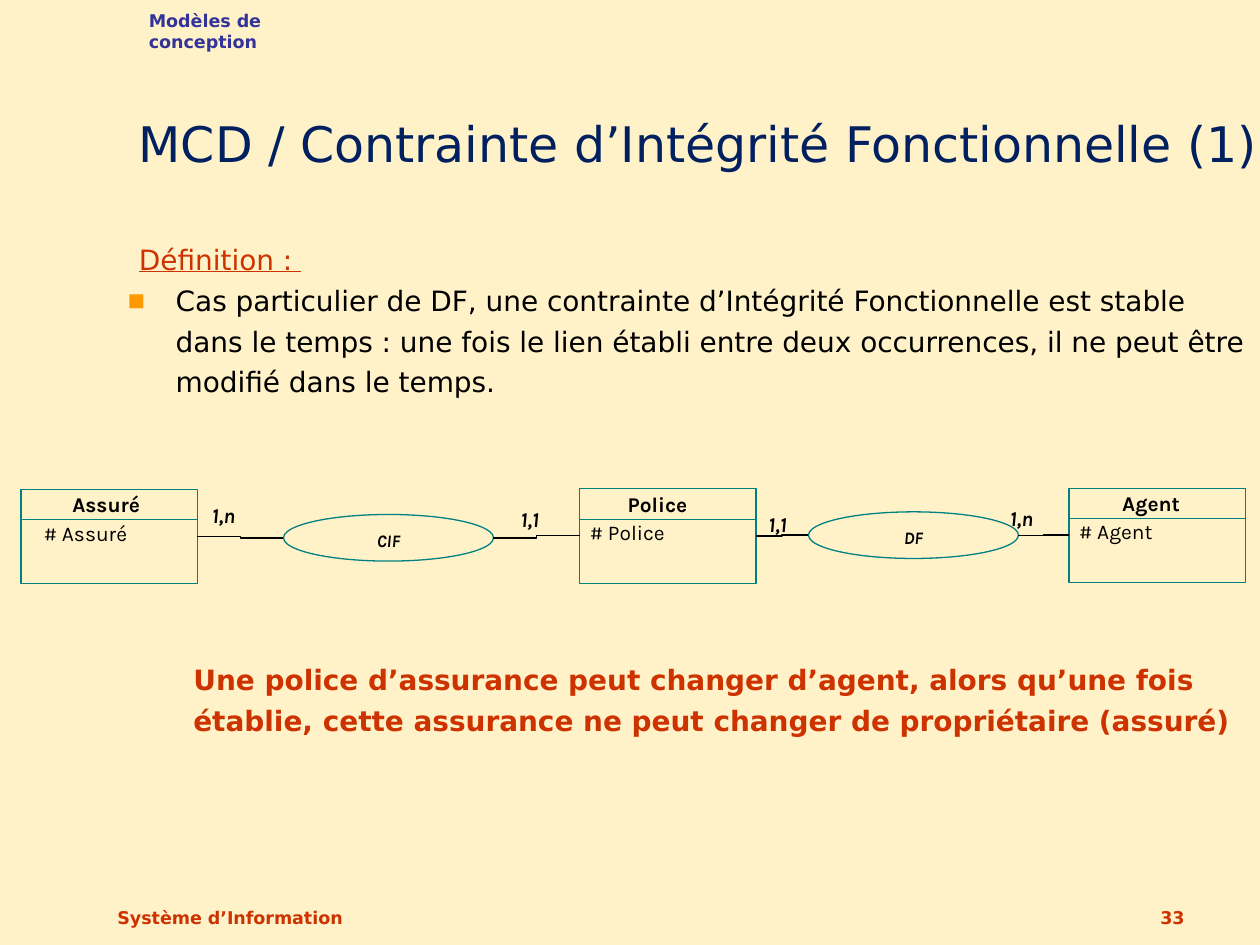
from lxml.etree import SubElement
from pptx import Presentation
from pptx.dml.color import RGBColor
from pptx.enum.shapes import MSO_CONNECTOR, MSO_SHAPE
from pptx.enum.text import MSO_ANCHOR, MSO_AUTO_SIZE, PP_ALIGN
from pptx.oxml.ns import qn
from pptx.util import Inches, Pt

CELL = Inches(1) / 12  # the slide is a grid of 120 columns by 90 rows


def grid(*cells):
    return [round(n * CELL) for n in cells]


def color(code):
    return RGBColor.from_string(code)


class Deck:
    sans, label = "DejaVu Sans", "Karla"
    paper, ink, navy = "FFF2C9", "000000", "002060"
    red, violet, teal, amber = "CC3300", "333399", "008080", "FF9900"

    def __init__(self):
        self.prs = Presentation()
        self.prs.slide_width, self.prs.slide_height = grid(120, 90)
        self.slide = self.prs.slides.add_slide(self.prs.slide_layouts[5])
        self.shapes = self.slide.shapes
        fill = self.slide.background.fill
        fill.solid()
        fill.fore_color.rgb = color(self.paper)

    def style(self, run, size, tint, face=None, bold=False, italic=False):
        font = run.font
        font.size, font.name = Pt(size), face or self.sans
        font.bold, font.italic = bold, italic
        font.color.rgb = color(tint)

    def title(self, text, *place):
        head = self.shapes.title
        head.left, head.top, head.width, head.height = grid(*place)
        frame = head.text_frame
        frame.text, frame.word_wrap = text, True
        frame.auto_size = MSO_AUTO_SIZE.NONE
        frame.vertical_anchor = MSO_ANCHOR.BOTTOM
        frame.paragraphs[0].alignment = PP_ALIGN.LEFT
        self.style(frame.paragraphs[0].runs[0], 28, self.navy)

    def frame(self, *place, anchor=MSO_ANCHOR.TOP):
        frame = self.shapes.add_textbox(*grid(*place)).text_frame
        frame.word_wrap, frame.vertical_anchor = True, anchor
        return frame

    def note(self, text, *place, tint=None, align=PP_ALIGN.LEFT,
             anchor=MSO_ANCHOR.BOTTOM):
        """Small bold text in the margins of the slide."""
        frame = self.frame(*place, anchor=anchor)
        frame.text = text
        frame.paragraphs[0].alignment = align
        self.style(frame.paragraphs[0].runs[0], 10, tint or self.red, bold=True)
        return frame

    def hang(self, para, bullet=False):
        """Give a paragraph its hanging indent and, if asked, a square bullet."""
        props = para._p.get_or_add_pPr()
        left = Inches(0.38)
        props.set("marL", str(left))
        props.set("indent", str(-left))
        para.line_spacing = 1.2
        if bullet:
            tint = SubElement(props, qn("a:buClr"))
            SubElement(tint, qn("a:srgbClr"), val=self.amber)
            SubElement(props, qn("a:buSzPct"), val="65000")
            SubElement(props, qn("a:buFont"), typeface=self.sans)
            SubElement(props, qn("a:buChar"), char="■")

    def lead(self, para, text, bold=False):
        """Fill a red paragraph that opens with a wider space."""
        self.hang(para)
        para.text = " "
        self.style(para.runs[0], 20, self.ink, bold=bold)
        run = para.add_run()
        run.text = text
        self.style(run, 16, self.red, bold=bold)
        return run

    def tag(self, text, *place, spacing=1.1, bold=True, italic=False):
        frame = self.frame(*place)
        frame.text, frame.word_wrap = text, False
        frame.auto_size = MSO_AUTO_SIZE.NONE
        frame.paragraphs[0].alignment = PP_ALIGN.LEFT
        frame.paragraphs[0].line_spacing = spacing
        self.style(frame.paragraphs[0].runs[0], 12, self.ink, self.label,
                   bold, italic)

    def outline(self, kind, *place):
        shape = self.shapes.add_shape(kind, *grid(*place))
        shape.shadow.inherit = False
        shape.fill.background()
        shape.line.color.rgb, shape.line.width = color(self.teal), Pt(0.75)
        return shape

    def line(self, *ends, tint=None, kind=MSO_CONNECTOR.STRAIGHT):
        link = self.shapes.add_connector(kind, *grid(*ends))
        link.line.color.rgb, link.line.width = color(tint or self.ink), Pt(0.75)
        SubElement(link._element.spPr, qn("a:effectLst"))

    def entity(self, name, left, top, name_in, key_in):
        self.outline(MSO_SHAPE.RECTANGLE, left, top, 16.8, 9)
        self.line(left, top + 2.9, left + 16.8, top + 2.9, tint=self.teal)
        self.tag(name, left + name_in, top - 0.6, 10, 3.84)
        self.tag(f"# {name}", left + key_in, top + 2.1, 12, 3.84, bold=False)

    def relation(self, name, left, top):
        frame = self.outline(MSO_SHAPE.OVAL, left, top, 20, 4.44).text_frame
        frame.text, frame.vertical_anchor = name, MSO_ANCHOR.TOP
        para = frame.paragraphs[0]
        para.alignment, para.line_spacing = PP_ALIGN.CENTER, 1.1
        self.style(para.runs[0], 10, self.ink, self.label, True, True)


def main():
    deck = Deck()
    deck.note("Système d’Information", 10, 83, 38, 6)
    deck.note("33", 89, 83, 25, 6, align=PP_ALIGN.RIGHT)
    deck.title("MCD / Contrainte d’Intégrité Fonctionnelle (1)", 12, 2, 111.8, 15)

    body = deck.frame(11, 21, 109, 25)
    deck.lead(body.paragraphs[0], "Définition : ").font.underline = True
    para = body.add_paragraph()
    para.text = ("Cas particulier de DF, une contrainte d’Intégrité Fonctionnelle "
                 "est stable dans le temps : une fois le lien établi entre deux "
                 "occurrences, il ne peut être modifié dans le temps.")
    deck.hang(para, bullet=True)
    deck.style(para.runs[0], 16, deck.ink)

    theme = deck.note("Modèles de conception", 13, 0.4, 23.6, 3.3,
                      tint=deck.violet, anchor=MSO_ANCHOR.TOP)
    theme.margin_right = Inches(0.87)

    for name, *place in (("Assuré", 2, 46.6, 3.7, 1),
                         ("Police", 55.2, 46.55, 3.4, -0.2),
                         ("Agent", 101.8, 46.5, 3.9, -0.2)):
        deck.entity(name, *place)
    deck.relation("CIF", 27, 49)
    deck.relation("DF", 77, 48.75)
    for ends in ((27, 51.24, 18.8, 51.12), (47, 51.24, 55.2, 51),
                 (77, 50.95, 72, 51.05), (97, 51, 101.8, 50.95)):
        deck.line(*ends, kind=MSO_CONNECTOR.ELBOW)
    for text, left, top in (("1,n", 19, 47.3), ("1,1", 48.4, 47.65),
                            ("1,1", 72, 48.1), ("1,n", 95, 47.55)):
        deck.tag(text, left, top, 5.7, 3.6, spacing=1, italic=True)

    para = deck.frame(11, 61, 109, 25).paragraphs[0]
    deck.lead(para, "Une police d’assurance peut changer d’agent, alors qu’une fois "
              "établie, cette assurance ne peut changer de propriétaire (assuré)",
              bold=True)
    para.alignment = PP_ALIGN.CENTER
    deck.prs.save("out.pptx")


if __name__ == "__main__":
    main()
